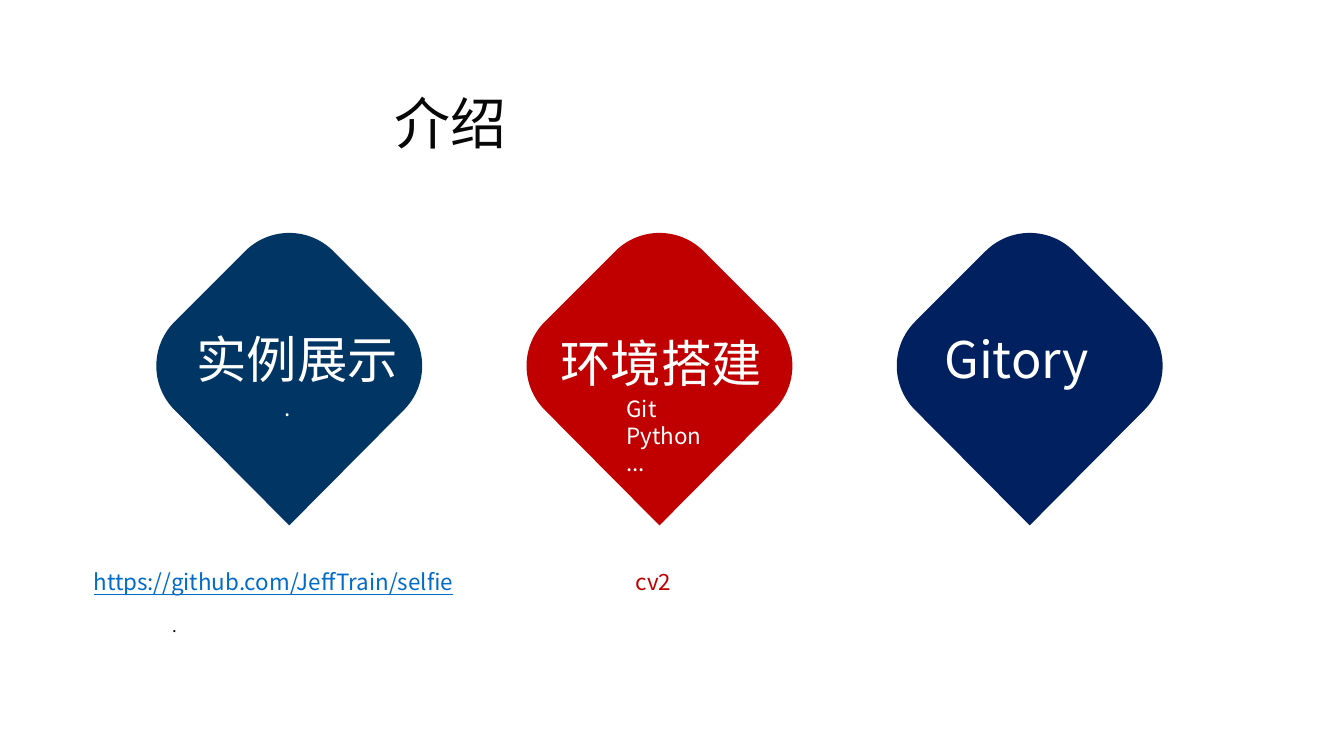
from math import cos, radians, sin, tan

from lxml.etree import SubElement
from pptx import Presentation
from pptx.dml.color import RGBColor
from pptx.enum.text import MSO_ANCHOR, PP_ALIGN as Align
from pptx.oxml.ns import qn
from pptx.util import Cm, Pt

FONT = "Noto Sans CJK SC"
WHITE, BLACK, RED, BLUE = "FFFFFF", "080808", "C00000", "006BC8"


def color(value):
    return RGBColor.from_string(value)


def add_text(text, left, top, width, height, size=16, fill=WHITE,
             align=Align.LEFT, wrap=False, underline=False):
    box = page.shapes.add_textbox(Cm(left), Cm(top), Cm(width), Cm(height))
    frame = box.text_frame
    frame.word_wrap = wrap
    frame.vertical_anchor = MSO_ANCHOR.TOP
    for index, line in enumerate(text.split("\n")):
        para = frame.paragraphs[0] if index == 0 else frame.add_paragraph()
        para.alignment = align
        para.line_spacing = Pt(size * 1.2)
        span = para.add_run()
        span.text = line
        span.font.size = Pt(size)
        span.font.name = FONT
        span.font.color.rgb = color(fill)
        span.font.underline = underline
        east_asian = span.font._element.makeelement(qn("a:ea"), {"typeface": FONT})
        span.font._element.find(qn("a:latin")).addnext(east_asian)


deck = Presentation()
deck.slide_width, deck.slide_height = Cm(33.87), Cm(19.05)
page = deck.slides.add_slide(deck.slide_layouts[6])

add_text("介绍", 9.7, 2.11, 14.25, 1.93, size=40, fill=BLACK, wrap=True)

radius, reach, tip = 1.57, 1.78, 4.02
handle = radius * 4 / 3 * tan(radians(45 / 4))
corners = [(-reach, 0, 135), (0, -reach, 225), (reach, 0, 315)]
for column, fill in enumerate(["003564", RED, "002060"]):
    center_x, center_y = 7.29 + column * 9.33, 9.22
    nodes = [
        (center_x + x + radius * cos(radians(start + turn)),
         center_y + y + radius * sin(radians(start + turn)),
         radians(start + turn))
        for x, y, start in corners
        for turn in (0, 45, 90)
    ]
    points = [(Cm(x), Cm(y)) for x, y, angle in nodes]
    points.append((Cm(center_x), Cm(center_y + tip)))
    outline = page.shapes.build_freeform(*points[0], scale=1.0)
    outline.add_line_segments(points[1:], close=True)
    diamond = outline.convert_to_shape()
    diamond.shadow.inherit = False
    diamond.fill.solid()
    diamond.fill.fore_color.rgb = color(fill)
    diamond.line.fill.background()

    sides = list(diamond._element.iter(qn("a:lnTo")))
    for index, side in enumerate(sides[:8], start=1):
        if index % 3 == 0:
            continue
        x1, y1, angle1 = nodes[index - 1]
        x2, y2, angle2 = nodes[index]
        controls = [
            (x1 - handle * sin(angle1), y1 + handle * cos(angle1)),
            (x2 + handle * sin(angle2), y2 - handle * cos(angle2)),
        ]
        side.tag = qn("a:cubicBezTo")
        for position, (x, y) in enumerate(controls):
            control = SubElement(side, qn("a:pt"))
            control.set("x", str(Cm(x) - diamond.left))
            control.set("y", str(Cm(y) - diamond.top))
            side.insert(position, control)

add_text("实例展示", 4.7, 8.15, 5.75, 1.75, size=36)
add_text(".", 6.93, 9.8, 0.64, 0.91, align=Align.CENTER)
add_text("环境搭建", 13.87, 8.25, 5.75, 1.75, size=36)
add_text("Git\nPython\n...", 15.54, 9.83, 2.39, 2.26)
add_text("Gitory", 23.55, 8.15, 4.62, 1.75, size=36)

add_text("https://github.com/JeffTrain/selfie", 2.11, 14.2, 9.65, 0.99,
         fill=BLUE, underline=True)
add_text(".", 4.09, 15.39, 6.4, 0.74, size=12, fill=BLACK, wrap=True)
add_text("cv2", 15.77, 14.2, 1.4, 0.91, fill=RED)

deck.save("out.pptx")
